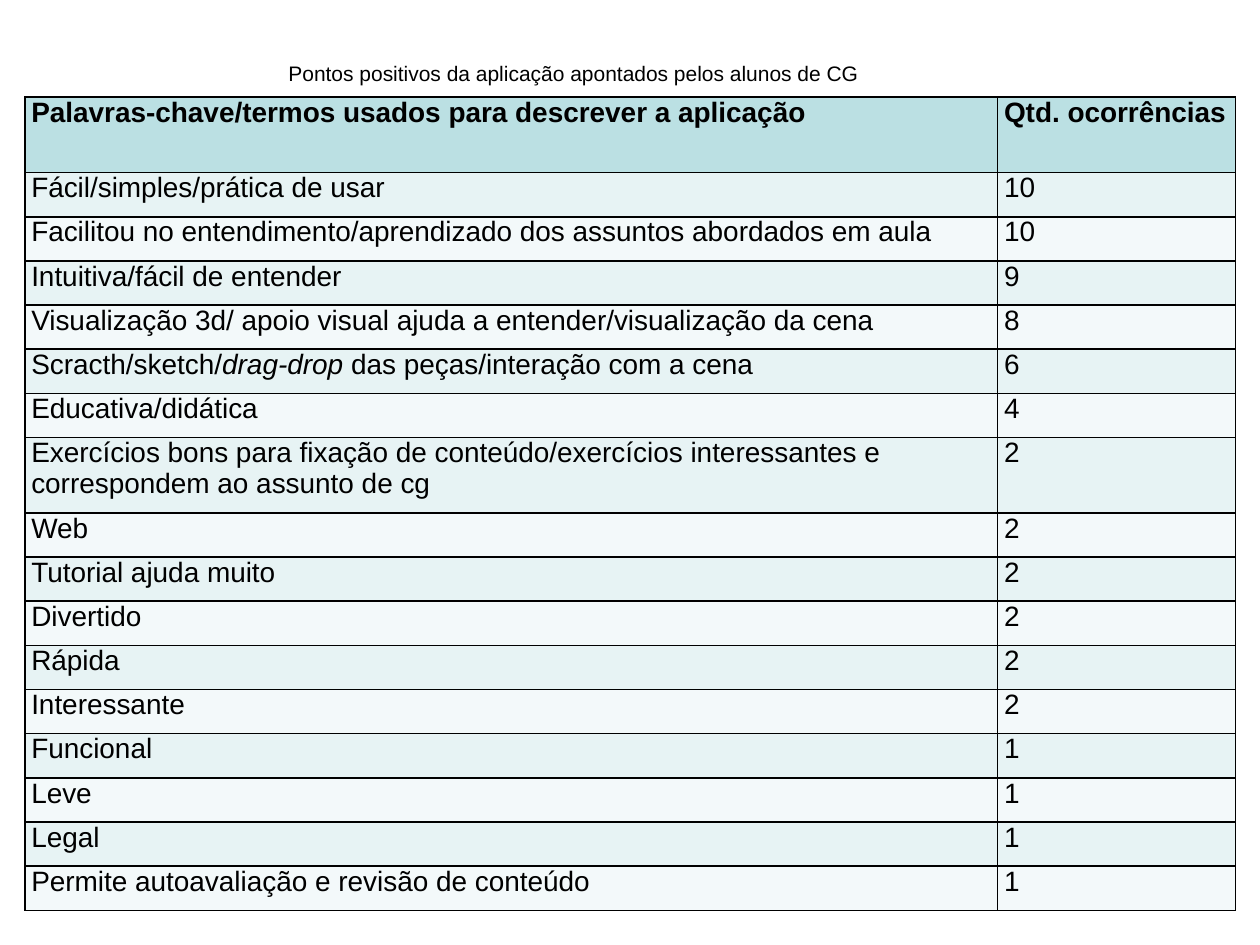
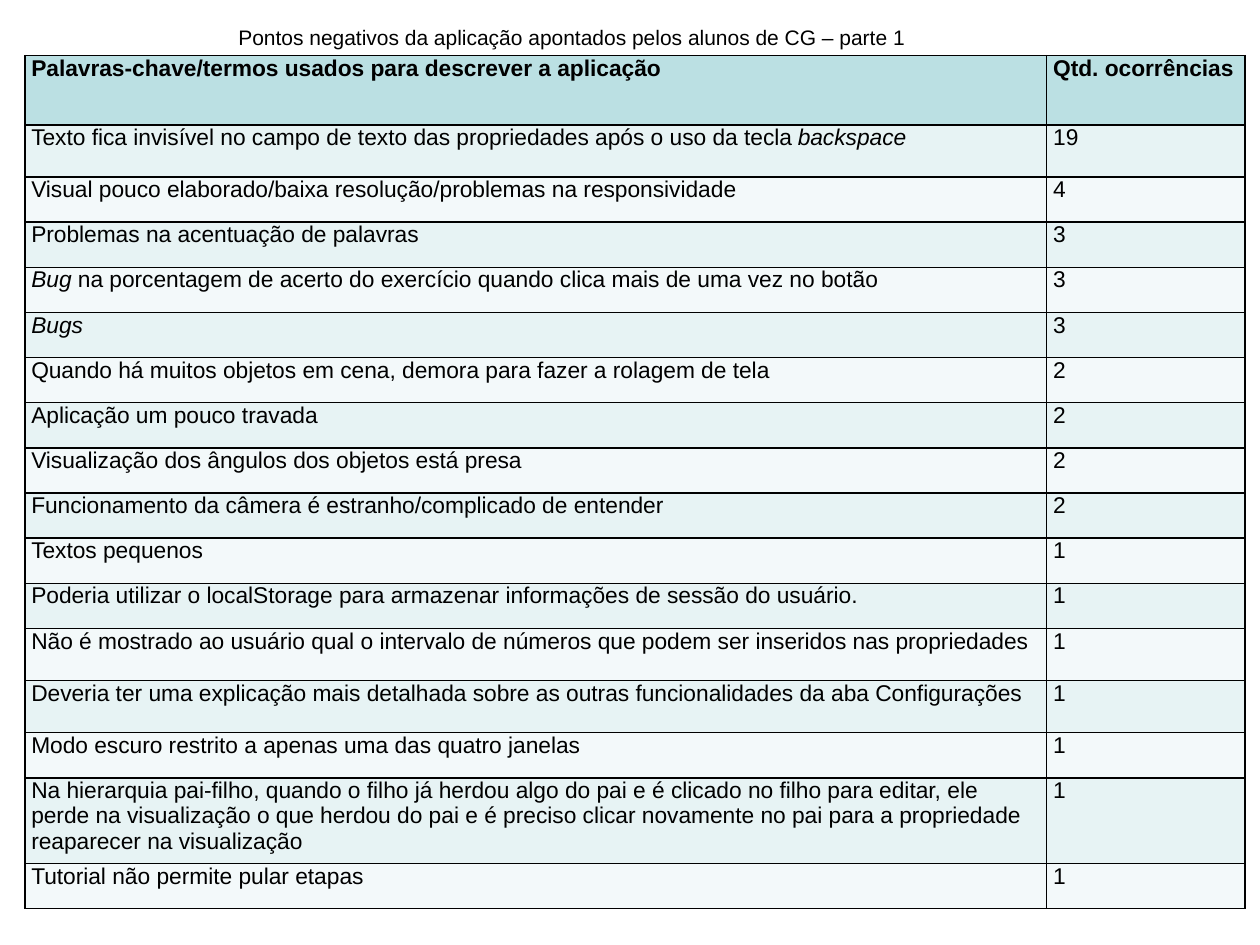
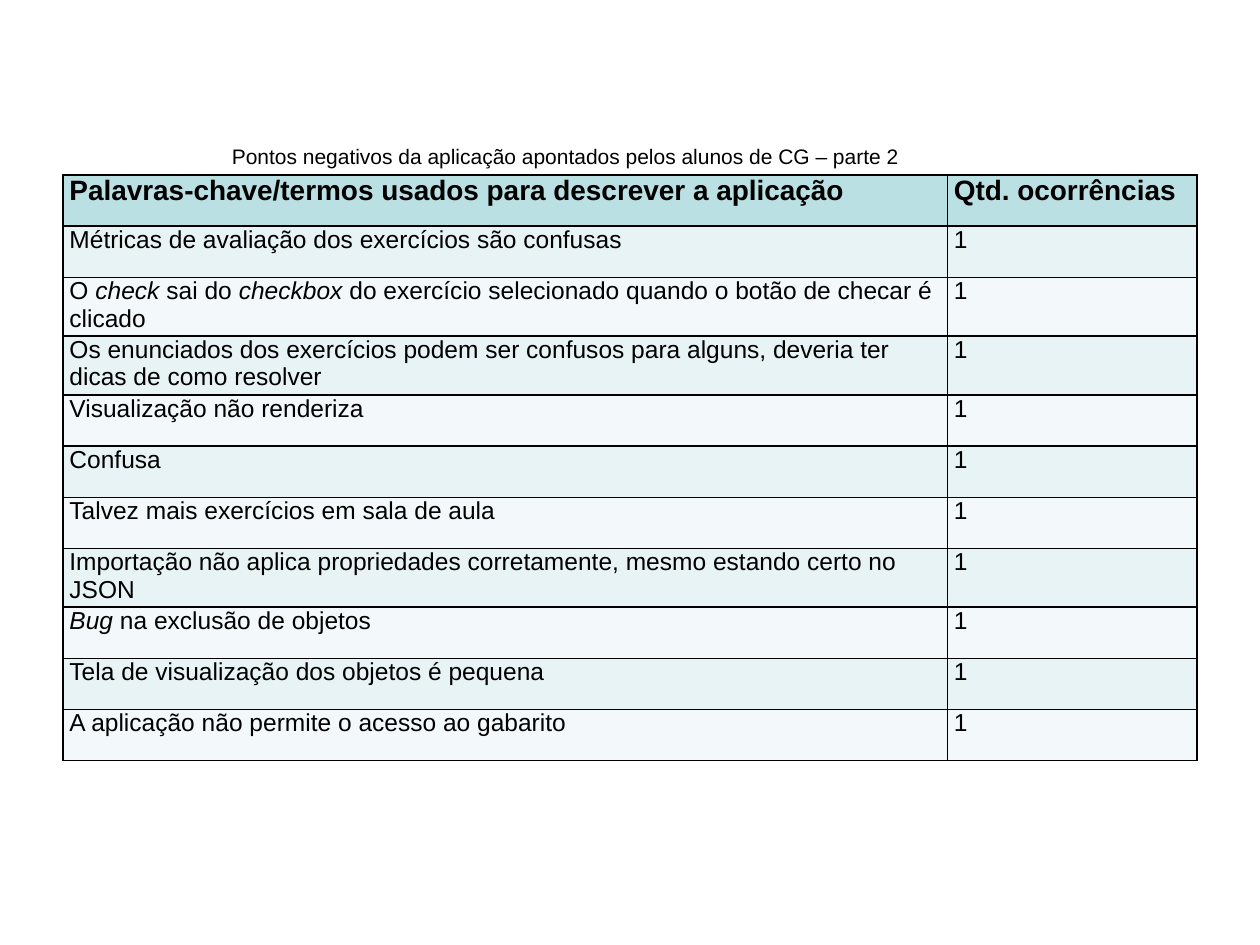
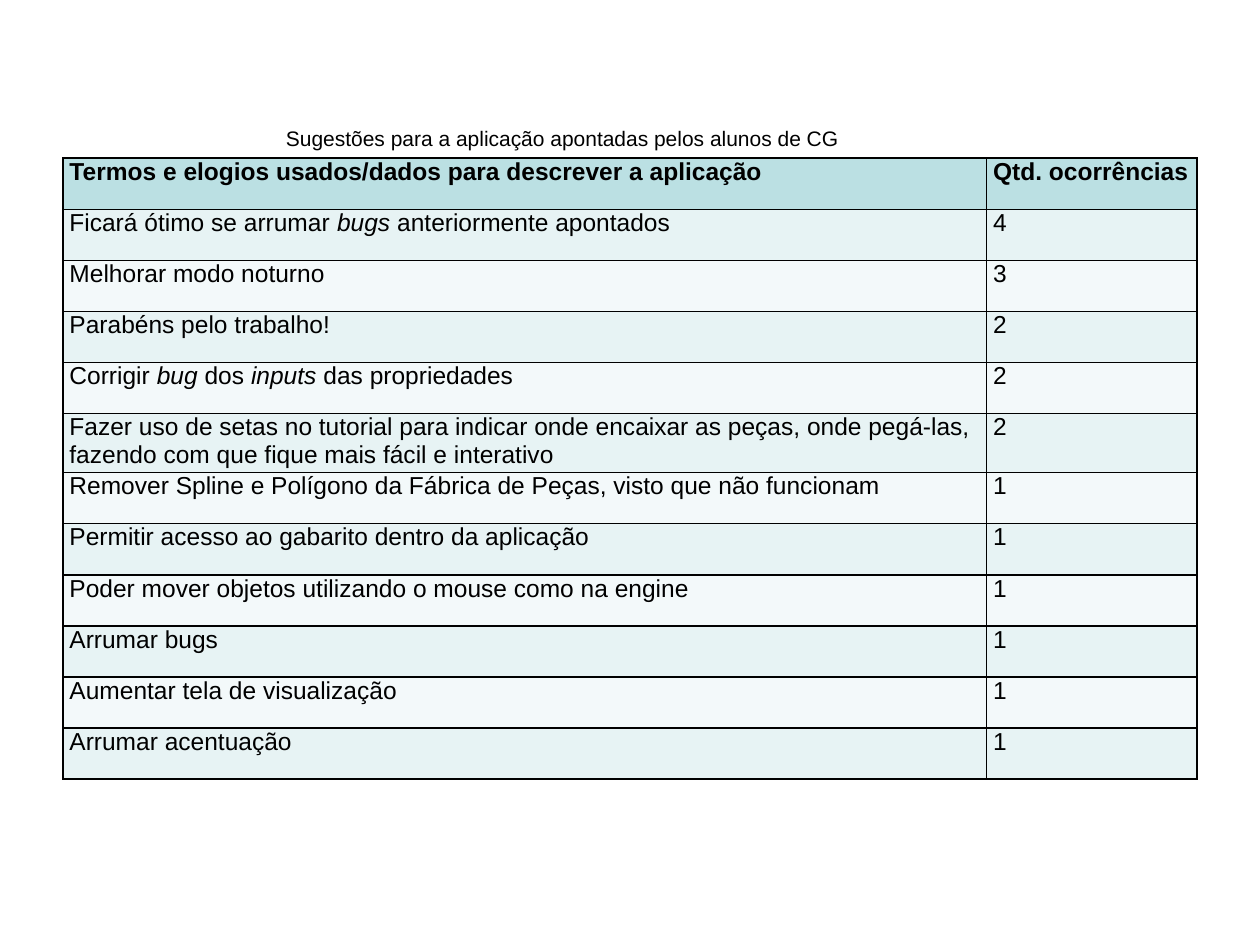
from dataclasses import dataclass, field

from lxml.etree import SubElement
from pptx import Presentation
from pptx.dml.color import RGBColor
from pptx.enum.text import MSO_ANCHOR, MSO_AUTO_SIZE, PP_ALIGN
from pptx.oxml.ns import qn
from pptx.util import Cm, Pt


@dataclass(frozen=True)
class Theme:
    font: str = "Arial"
    ink: str = "000000"
    header_fill: str = "BBE0E3"
    band_fills: tuple = ("E7F3F4", "F3F9FA")
    caption_size: int = 12
    border_width: int = 1
    cell_inset: float = 0.13
    caption_height: float = 0.76


@dataclass(frozen=True)
class FeedbackTable:
    caption: str
    caption_box: tuple
    corner: tuple
    column_widths: tuple
    row_height: float
    header_size: int
    body_size: int
    term_heading: str
    answers: tuple
    special_heights: dict = field(default_factory=dict)


THEME = Theme()
TITLE_ONLY_LAYOUT = 5
KEYWORDS_HEADING = "Palavras-chave/termos usados para descrever a aplicação"
COUNT_HEADING = "Qtd. ocorrências"

POSITIVE = FeedbackTable(
    caption="Pontos positivos da aplicação apontados pelos alunos de CG",
    caption_box=(5.56, 1.09, 12.09),
    corner=(0.5, 1.96),
    column_widths=(19.61, 4.8),
    row_height=0.89,
    header_size=16,
    body_size=16,
    term_heading=KEYWORDS_HEADING,
    special_heights={0: 1.52, 7: 1.52},
    answers=(
        ("Fácil/simples/prática de usar", 10),
        ("Facilitou no entendimento/aprendizado dos assuntos abordados em aula", 10),
        ("Intuitiva/fácil de entender", 9),
        ("Visualização 3d/ apoio visual ajuda a entender/visualização da cena", 8),
        ("Scracth/sketch/*drag-drop *das peças/interação com a cena", 6),
        ("Educativa/didática", 4),
        ("Exercícios bons para fixação de conteúdo/exercícios interessantes e "
         "correspondem ao assunto de cg", 2),
        ("Web", 2),
        ("Tutorial ajuda muito", 2),
        ("Divertido", 2),
        ("Rápida", 2),
        ("Interessante", 2),
        ("Funcional", 1),
        ("Leve", 1),
        ("Legal", 1),
        ("Permite autoavaliação e revisão de conteúdo", 1),
    ),
)

NEGATIVE_FIRST = FeedbackTable(
    caption="Pontos negativos da aplicação apontados pelos alunos de CG – parte 1",
    caption_box=(4.55, 0.36, 14.05),
    corner=(0.5, 1.12),
    column_widths=(20.6, 4),
    row_height=0.91,
    header_size=13,
    body_size=13,
    term_heading=KEYWORDS_HEADING,
    special_heights={0: 1.4, 1: 1.05, 12: 1.05, 13: 1.05, 15: 1.73},
    answers=(
        ("Texto fica invisível no campo de texto das propriedades após o uso da tecla "
         "*backspace*", 19),
        ("Visual pouco elaborado/baixa resolução/problemas na responsividade", 4),
        ("Problemas na acentuação de palavras", 3),
        ("*Bug* na porcentagem de acerto do exercício quando clica mais de uma vez "
         "no botão", 3),
        ("*Bugs*", 3),
        ("Quando há muitos objetos em cena, demora para fazer a rolagem de tela", 2),
        ("Aplicação um pouco travada", 2),
        ("Visualização dos ângulos dos objetos está presa", 2),
        ("Funcionamento da câmera é estranho/complicado de entender", 2),
        ("Textos pequenos", 1),
        ("Poderia utilizar o localStorage para armazenar informações de sessão "
         "do usuário.", 1),
        ("Não é mostrado ao usuário qual o intervalo de números que podem ser "
         "inseridos nas propriedades", 1),
        ("Deveria ter uma explicação mais detalhada sobre as outras funcionalidades "
         "da aba Configurações", 1),
        ("Modo escuro restrito a apenas uma das quatro janelas", 1),
        ("Na hierarquia pai-filho, quando o filho já herdou algo do pai e é clicado "
         "no filho para editar, ele perde na visualização o que herdou do pai e é "
         "preciso clicar novamente no pai para a propriedade reaparecer na "
         "visualização", 1),
        ("Tutorial não permite pular etapas", 1),
    ),
)

NEGATIVE_SECOND = FeedbackTable(
    caption="Pontos negativos da aplicação apontados pelos alunos de CG – parte 2",
    caption_box=(4.42, 2.77, 14.05),
    corner=(1.27, 3.53),
    column_widths=(17.83, 5.03),
    row_height=1.03,
    header_size=16,
    body_size=14,
    term_heading=KEYWORDS_HEADING,
    answers=(
        ("Métricas de avaliação dos exercícios são confusas", 1),
        ("O *check* sai do *checkbox* do exercício selecionado quando o botão de "
         "checar é clicado", 1),
        ("Os enunciados dos exercícios podem ser confusos para alguns, deveria ter "
         "dicas de como resolver", 1),
        ("Visualização não renderiza", 1),
        ("Confusa", 1),
        ("Talvez mais exercícios em sala de aula", 1),
        ("Importação não aplica propriedades corretamente, mesmo estando certo no "
         "JSON", 1),
        ("*Bug* na exclusão de objetos", 1),
        ("Tela de visualização dos objetos é pequena", 1),
        ("A aplicação não permite o acesso ao gabarito", 1),
    ),
)

SUGGESTIONS = FeedbackTable(
    caption="Sugestões para a aplicação apontadas pelos alunos de CG",
    caption_box=(5.51, 2.41, 11.73),
    corner=(1.27, 3.19),
    column_widths=(18.62, 4.24),
    row_height=1.03,
    header_size=14,
    body_size=14,
    term_heading="Termos e elogios usados/dados para descrever a aplicação",
    answers=(
        ("Ficará ótimo se arrumar *bugs* anteriormente apontados", 4),
        ("Melhorar modo noturno", 3),
        ("Parabéns pelo trabalho!", 2),
        ("Corrigir *bug* dos *inputs* das propriedades", 2),
        ("Fazer uso de setas no tutorial para indicar onde encaixar as peças, onde "
         "pegá-las, fazendo com que fique mais fácil e interativo", 2),
        ("Remover Spline e Polígono da Fábrica de Peças, visto que não funcionam", 1),
        ("Permitir acesso ao gabarito dentro da aplicação", 1),
        ("Poder mover objetos utilizando o mouse como na engine", 1),
        ("Arrumar bugs", 1),
        ("Aumentar tela de visualização", 1),
        ("Arrumar acentuação", 1),
    ),
)


def format_run(run, size, bold=False, italic=False):
    run.font.name = THEME.font
    run.font.size = Pt(size)
    run.font.bold = bold
    run.font.italic = italic
    run.font.color.rgb = RGBColor.from_string(THEME.ink)


def write_marked_text(paragraph, text, size, bold):
    for index, part in enumerate(text.split("*")):
        if part:
            run = paragraph.add_run()
            run.text = part
            format_run(run, size, bold, italic=index % 2 == 1)


def add_borders(cell):
    properties = cell._tc.get_or_add_tcPr()
    for side in ("a:lnL", "a:lnR", "a:lnT", "a:lnB"):
        line = SubElement(properties, qn(side), w=str(Pt(THEME.border_width)))
        fill = SubElement(line, qn("a:solidFill"))
        SubElement(fill, qn("a:srgbClr"), val=THEME.ink)


def fill_cell(cell, text, size, color, bold):
    cell.margin_left = cell.margin_right = Cm(THEME.cell_inset)
    cell.margin_top = cell.margin_bottom = 0
    cell.vertical_anchor = MSO_ANCHOR.TOP
    add_borders(cell)
    cell.fill.solid()
    cell.fill.fore_color.rgb = RGBColor.from_string(color)
    write_marked_text(cell.text_frame.paragraphs[0], text, size, bold)


def set_caption(slide, feedback):
    title = slide.shapes.title
    left, top, width = feedback.caption_box
    title.left, title.top, title.width = Cm(left), Cm(top), Cm(width)
    title.height = Cm(THEME.caption_height)
    text_frame = title.text_frame
    text_frame.text = feedback.caption
    text_frame.word_wrap = False
    text_frame.auto_size = MSO_AUTO_SIZE.SHAPE_TO_FIT_TEXT
    text_frame.vertical_anchor = MSO_ANCHOR.TOP
    paragraph = text_frame.paragraphs[0]
    paragraph.alignment = PP_ALIGN.LEFT
    format_run(paragraph.runs[0], THEME.caption_size)


def add_feedback_table(slide, feedback):
    rows = ((feedback.term_heading, COUNT_HEADING),) + feedback.answers
    heights = [feedback.special_heights.get(index, feedback.row_height)
               for index in range(len(rows))]
    left, top = feedback.corner
    table = slide.shapes.add_table(
        len(rows), len(feedback.column_widths), Cm(left), Cm(top),
        Cm(sum(feedback.column_widths)), Cm(sum(heights)),
    ).table
    for column, width in zip(table.columns, feedback.column_widths):
        column.width = Cm(width)
    for index, (values, height) in enumerate(zip(rows, heights)):
        table.rows[index].height = Cm(height)
        is_header = index == 0
        color = THEME.header_fill if is_header else THEME.band_fills[(index - 1) % 2]
        size = feedback.header_size if is_header else feedback.body_size
        for cell, value in zip(table.rows[index].cells, values):
            fill_cell(cell, str(value), size, color, bold=is_header)


def add_feedback_slide(presentation, feedback):
    layout = presentation.slide_layouts[TITLE_ONLY_LAYOUT]
    slide = presentation.slides.add_slide(layout)
    set_caption(slide, feedback)
    add_feedback_table(slide, feedback)


def main():
    presentation = Presentation()
    presentation.slide_width = Cm(25.4)
    presentation.slide_height = Cm(19.05)
    for feedback in (POSITIVE, NEGATIVE_FIRST, NEGATIVE_SECOND, SUGGESTIONS):
        add_feedback_slide(presentation, feedback)
    presentation.save("out.pptx")


if __name__ == "__main__":
    main()
